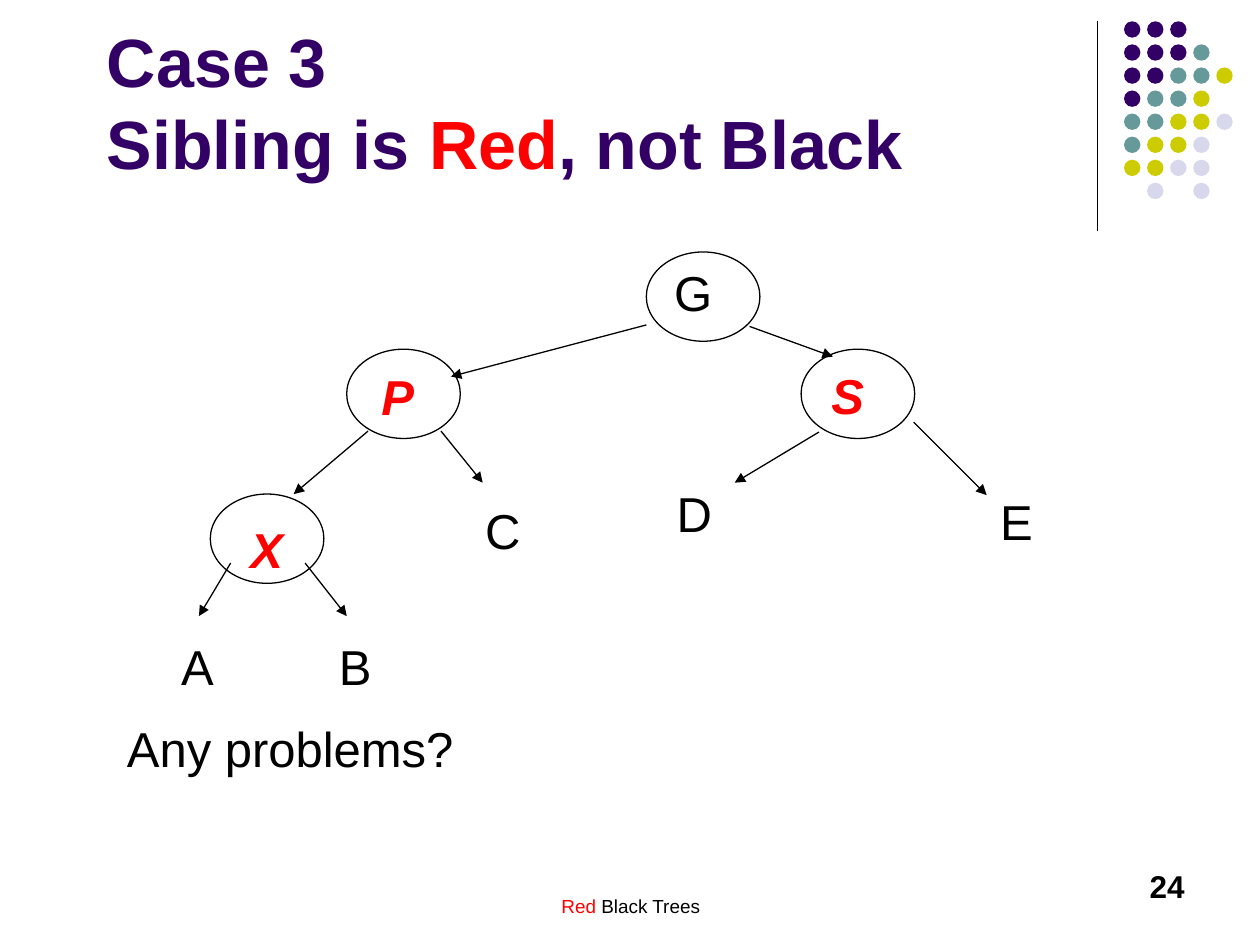
from lxml import etree
from pptx import Presentation, util as u
from pptx.dml.color import RGBColor
from pptx.enum import shapes, text
from pptx.oxml.ns import qn

COLORS = {"purple": "330066", "teal": "669999", "olive": "CCCC00",
          "mist": "D8D8EC", "red": "FF0000", "black": "000000"}
DOT_ROWS = ["ppp", "pppt", "pptto", "ptto", "ttoom", "toom", "oomm", " m m"]
DOT_COLORS = {"p": "purple", "t": "teal", "o": "olive", "m": "mist"}

NODES = {"G": (9.63, 0, 9.94, 0.08, "black"), "P": (3.59, 1.96, 4.04, 2.18, "red"),
         "S": (12.75, 1.96, 13.11, 2.16, "red"), "X": (0.84, 4.88, 1.4, 5.26, "red")}
SUBTREES = {"A": (0, 7.62), "B": (3.18, 7.62), "C": (6.13, 4.88),
            "D": (9.99, 4.55), "E": (16.51, 4.7)}
EDGES = [(9.63, 1.47, 5.69, 2.51), (11.71, 1.5, 13.39, 2.11),
         (15.02, 3.43, 16.49, 4.9), (13.11, 3.63, 11.41, 4.65),
         (4.02, 3.61, 2.52, 4.88), (5.49, 3.61, 6.33, 4.65),
         (1.25, 6.27, 0.61, 7.34), (2.75, 6.27, 3.59, 7.34)]


def rgb(color):
    """Look up a palette colour."""
    return RGBColor.from_string(COLORS[color])


def add_run(paragraph, words, size=28, color="black", bold=False, italic=False):
    """Append formatted text to a paragraph."""
    font_run = paragraph.add_run()
    font_run.text = words
    font = font_run.font
    font.name, font.size, font.bold, font.italic = "Arial", u.Pt(size), bold, italic
    font.color.rgb = rgb(color)


def add_label(slide, box, runs, align=text.PP_ALIGN.LEFT,
              anchor=text.MSO_ANCHOR.TOP, wrap=False, **style):
    """Add a text box holding (words, color) runs."""
    frame = slide.shapes.add_textbox(*map(u.Cm, box)).text_frame
    frame.word_wrap = wrap
    frame.vertical_anchor = anchor
    frame.paragraphs[0].alignment = align
    for words, color in runs:
        add_run(frame.paragraphs[0], words, color=color, **style)


def add_oval(slide, box, fill=None):
    """Add a filled dot, or an outlined ellipse when no fill is given."""
    oval = slide.shapes.add_shape(shapes.MSO_SHAPE.OVAL, *map(u.Cm, box))
    oval.shadow.inherit = False
    if fill:
        oval.fill.solid()
        oval.fill.fore_color.rgb = rgb(fill)
        oval.line.fill.background()
    else:
        oval.fill.background()
        oval.line.color.rgb = rgb("black")
        oval.line.width = u.Pt(0.75)


def add_line(slide, ends, arrow=False):
    """Draw a thin straight line, optionally with an arrowhead."""
    line = slide.shapes.add_connector(shapes.MSO_CONNECTOR.STRAIGHT, *map(u.Cm, ends))
    line.line.color.rgb = rgb("black")
    line.line.width = u.Pt(0.75)
    if arrow:
        etree.SubElement(line.line._get_or_add_ln(), qn("a:tailEnd"), type="triangle")
    etree.SubElement(line._element.spPr, qn("a:effectLst"))


def add_corner(slide, left, top, height):
    """Place the vertical rule and its dot pattern."""
    add_line(slide, (left, top, left, top + height))
    pitch, size = 0.465, 0.33
    for row, marks in enumerate(DOT_ROWS):
        for column, mark in enumerate(marks):
            if mark in DOT_COLORS:
                add_oval(slide, (left + 0.54 + column * pitch, top + row * pitch,
                                 size, size), DOT_COLORS[mark])


def add_title(slide, left, top, width, height):
    """Place the two-line heading in the title placeholder."""
    title = slide.shapes.title
    title.left, title.top, title.width, title.height = map(u.Cm, (left, top, width, height))
    frame = title.text_frame
    frame.auto_size = text.MSO_AUTO_SIZE.NONE
    frame.vertical_anchor = text.MSO_ANCHOR.BOTTOM
    heading = frame.paragraphs[0]
    heading.alignment = text.PP_ALIGN.LEFT
    style = {"size": 39, "bold": True}
    add_run(heading, "Case 3", color="purple", **style)
    heading.add_line_break()
    for words, color in [("Sibling is ", "purple"), ("Red", "red"), (", not Black", "purple")]:
        add_run(heading, words, color=color, **style)


def add_tree(slide, left, top):
    """Place the nodes, subtrees and edges of the tree."""
    for name, (x, y, label_x, label_y, color) in NODES.items():
        add_oval(slide, (left + x, top + y, 2.29, 1.8))
        is_red = color == "red"
        add_label(slide, (left + label_x, top + label_y, 1.17, 1.45), [(name, color)],
                  bold=is_red, italic=is_red)
    for name, (x, y) in SUBTREES.items():
        add_label(slide, (left + x, top + y, 1.17, 1.45), [(name, "black")])
    for x1, y1, x2, y2 in EDGES:
        add_line(slide, (left + x1, top + y1, left + x2, top + y2), arrow=True)


def add_footer(slide, left, top, height):
    """Place the deck name and the page number."""
    add_label(slide, (left, top, 8.05, height), [("Red ", "red"), ("Black Trees", "black")],
              align=text.PP_ALIGN.CENTER, anchor=text.MSO_ANCHOR.BOTTOM, wrap=True, size=10.8)
    add_label(slide, (left + 9.52, top, 5.92, height), [("24", "black")],
              align=text.PP_ALIGN.RIGHT, wrap=True, size=18, bold=True)


def main():
    """Build and save the slide."""
    deck = Presentation()
    deck.slide_width, deck.slide_height = u.Cm(25.4), u.Cm(19.05)
    slide = deck.slides.add_slide(deck.slide_layouts[5])
    add_corner(slide, 22.12, 0.43, 4.22)
    add_footer(slide, 8.69, 17.35, 1.27)
    add_title(slide, 1.9, 0.64, 21.59, 3.18)
    add_tree(slide, 3.4, 5.08)
    add_label(slide, (2.31, 14.35, 7.09, 1.45), [("Any problems?", "black")])
    deck.save("out.pptx")


if __name__ == "__main__":
    main()
